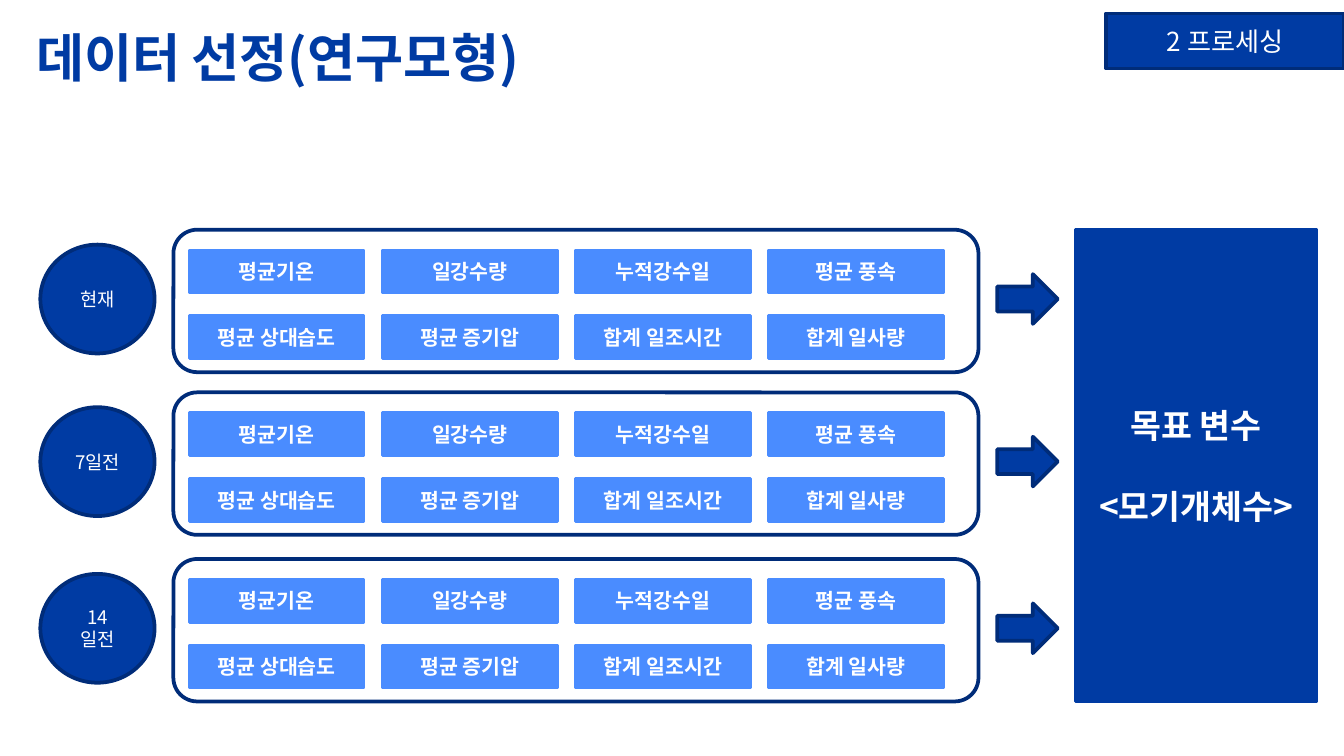
"""Builds the research model slide: weather variables at three times predict a target."""
import pptx
import pptx.dml.color
import pptx.enum.shapes
import pptx.enum.text
import pptx.oxml.ns
import pptx.util
from lxml import etree

Inches = pptx.util.Inches
Pt = pptx.util.Pt
SHAPE = pptx.enum.shapes.MSO_SHAPE
ALIGN = pptx.enum.text.PP_ALIGN
MIDDLE = pptx.enum.text.MSO_ANCHOR.MIDDLE

FONT = "Noto Sans CJK KR"
COLORS = {"blue": "003BA3", "navy": "002C79", "sky": "4A8CFF", "white": "FFFFFF"}
PERIODS = [("현재", 1.71), ("7일전", 2.92), ("14일전", 4.16)]
VARIABLES = [
    ["평균기온", "일강수량", "누적강수일", "평균 풍속"],
    ["평균 상대습도", "평균 증기압", "합계 일조시간", "합계 일사량"],
]
COLUMN_STEP = 4.31 / 3
ROW_STEP = 0.49


def rgb(name):
    """Return the named colour."""
    return pptx.dml.color.RGBColor.from_string(COLORS[name])


def write(frame, text, size, color="white", bold=False, align=ALIGN.CENTER):
    """Fill a text frame and format its runs."""
    frame.text = text
    frame.word_wrap = True
    frame.vertical_anchor = MIDDLE
    for paragraph in frame.paragraphs:
        paragraph.alignment = align
        for run in paragraph.runs:
            run.font.size = Pt(size)
            run.font.bold = bold
            run.font.name = FONT
            run.font.color.rgb = rgb(color)
            east_asian = etree.SubElement(run.font._element, pptx.oxml.ns.qn("a:ea"))
            east_asian.set("typeface", FONT)


def add_box(slide, kind, left, top, width, height, fill=None, line="navy", weight=2):
    """Add a preset shape with a solid fill, or none, and an outline."""
    box = slide.shapes.add_shape(
        kind, Inches(left), Inches(top), Inches(width), Inches(height))
    box.shadow.inherit = False
    if fill:
        box.fill.solid()
        box.fill.fore_color.rgb = rgb(fill)
    else:
        box.fill.background()
    box.line.color.rgb = rgb(line)
    box.line.width = Pt(weight)
    return box


def add_header(slide):
    """Add the slide title and the section tag."""
    title = slide.shapes.add_textbox(
        Inches(0.17), Inches(0.11), Inches(8.44), Inches(0.63))
    write(title.text_frame, "데이터 선정(연구모형)", 28, "blue", True, ALIGN.LEFT)
    section = add_box(slide, SHAPE.RECTANGLE, 8.23, 0.1, 1.77, 0.41, "blue")
    write(section.text_frame, "2 프로세싱", 14)


def add_period(slide, name, top):
    """Add one period with its variable grid, frame and arrow."""
    for row, labels in enumerate(VARIABLES):
        for column, label in enumerate(labels):
            variable = add_box(
                slide, SHAPE.RECTANGLE, 1.41 + column * COLUMN_STEP,
                top + 0.15 + row * ROW_STEP, 1.3, 0.32, "sky", "sky", 1.5)
            write(variable.text_frame, label, 11, bold=True)
    add_box(slide, SHAPE.ROUNDED_RECTANGLE, 1.29, top, 5.99, 1.06)
    add_box(slide, SHAPE.RIGHT_ARROW, 7.42, top + 0.33, 0.45, 0.37, "blue")
    period = add_box(slide, SHAPE.OVAL, 0.3, top + 0.11, 0.85, 0.81, "blue")
    write(period.text_frame, name, 10)


def add_target(slide):
    """Add the target variable panel."""
    target = add_box(slide, SHAPE.RECTANGLE, 8, 1.71, 1.8, 3.51, "blue", "blue", 1.5)
    write(target.text_frame, "목표 변수\n<모기개체수>", 18, bold=True)
    target.text_frame.paragraphs[1].space_before = Pt(22)


def main():
    """Build and save the slide."""
    deck = pptx.Presentation()
    deck.slide_width = Inches(10)
    deck.slide_height = Inches(10 * 9 / 16)
    slide = deck.slides.add_slide(deck.slide_layouts[6])
    add_header(slide)
    for name, top in PERIODS:
        add_period(slide, name, top)
    add_target(slide)
    deck.save("out.pptx")


if __name__ == "__main__":
    main()
